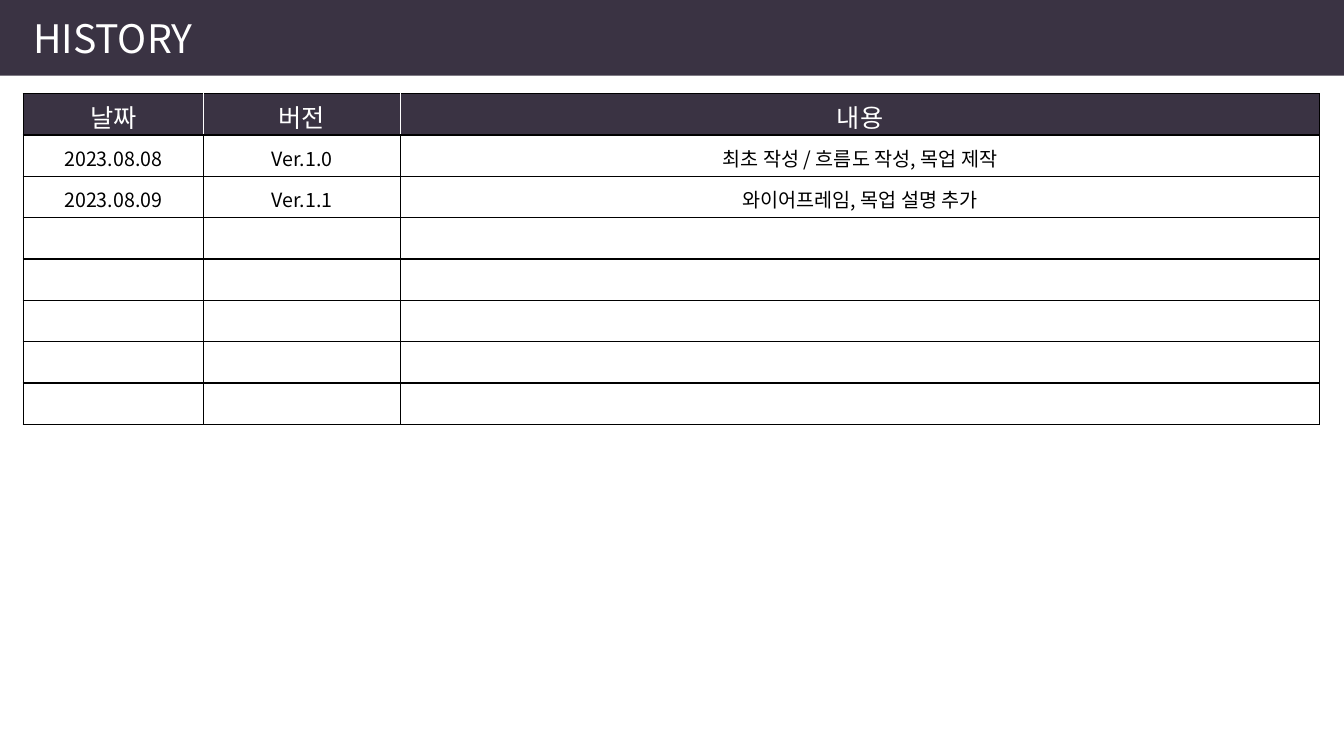
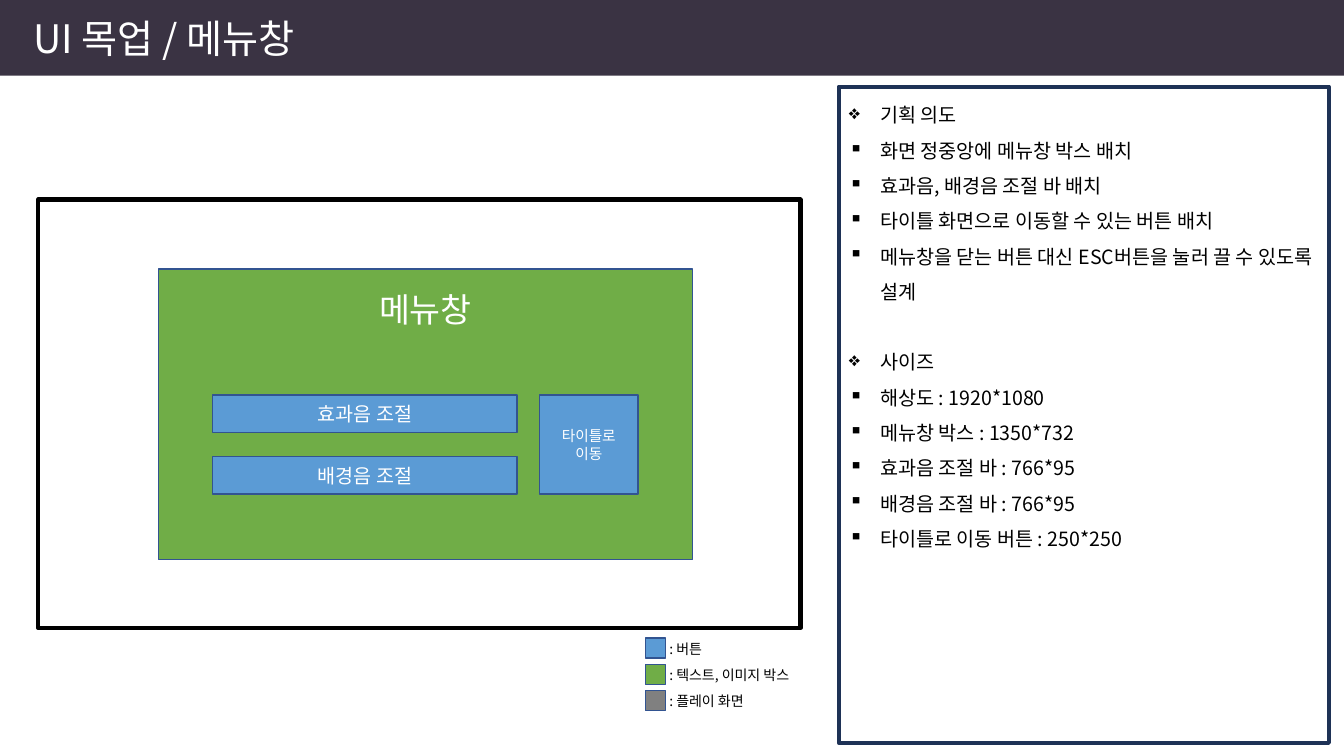
from dataclasses import dataclass
from typing import Optional

from pptx import Presentation
from pptx.dml.color import RGBColor
from pptx.enum.shapes import MSO_SHAPE
from pptx.enum.text import MSO_ANCHOR as Anchor, PP_ALIGN as Align
from pptx.oxml.ns import qn
from pptx.util import Inches, Pt
from lxml.etree import SubElement

FONT = "Noto Sans CJK KR"
BLACK = RGBColor(0x00, 0x00, 0x00)
WHITE = RGBColor(0xFF, 0xFF, 0xFF)
BAND = RGBColor(0x3A, 0x33, 0x43)
BLUE = RGBColor(0x5B, 0x9B, 0xD5)
GREEN = RGBColor(0x70, 0xAD, 0x47)
GRAY = RGBColor(0x80, 0x80, 0x80)
OUTLINE = RGBColor(0x32, 0x54, 0x91)
NAVY = RGBColor(0x1E, 0x32, 0x56)

SLIDE_WIDTH, SLIDE_HEIGHT = 13.33, 7.5
ROW_HEIGHT = 0.41
COLUMN_WIDTHS = (1.79, 1.95, 9.12)
HISTORY_ROWS = 8
HISTORY = (
    ("날짜", "버전", "내용"),
    ("2023.08.08", "Ver.1.0", "최초 작성 / 흐름도 작성, 목업 제작"),
    ("2023.08.09", "Ver.1.1", "와이어프레임, 목업 설명 추가"),
)

NOTE_LINE = 25.2
NOTE_INDENT = 0.31


@dataclass(frozen=True)
class Area:
    left: float
    top: float
    width: float
    height: float

    def lengths(self) -> tuple:
        return tuple(Inches(side) for side in (self.left, self.top, self.width, self.height))


@dataclass(frozen=True)
class Block:
    area: Area
    fill: Optional[RGBColor] = None
    line: Optional[RGBColor] = OUTLINE
    weight: float = 1
    text: str = ""
    size: float = 14


@dataclass(frozen=True)
class LegendEntry:
    color: RGBColor
    label: str


@dataclass(frozen=True)
class NoteSection:
    heading: str
    items: tuple


MENU = Block(Area(1.57, 2.67, 5.3, 2.88), GREEN, text="메뉴창", size=24)
MOCKUP = (
    Block(Area(0.38, 1.98, 7.56, 4.25), line=BLACK, weight=3),
    MENU,
    Block(Area(2.11, 3.92, 3.02, 0.37), BLUE, text="효과음 조절"),
    Block(Area(2.11, 4.53, 3.02, 0.37), BLUE, text="배경음 조절"),
    Block(Area(5.35, 3.92, 0.98, 0.98), BLUE, text="타이틀로 이동", size=10.5),
)
LEGEND = (
    LegendEntry(BLUE, ": 버튼"),
    LegendEntry(GREEN, ": 텍스트, 이미지 박스"),
    LegendEntry(GRAY, ": 플레이 화면"),
)
NOTES = (
    NoteSection("기획 의도", (
        "화면 정중앙에 메뉴창 박스 배치",
        "효과음, 배경음 조절 바 배치",
        "타이틀 화면으로 이동할 수 있는 버튼 배치",
        "메뉴창을 닫는 버튼 대신 ESC버튼을 눌러 끌 수 있도록 설계",
    )),
    NoteSection("사이즈", (
        "해상도 : 1920*1080",
        "메뉴창 박스 : 1350*732",
        "효과음 조절 바 : 766*95",
        "배경음 조절 바 : 766*95",
        "타이틀로 이동 버튼 : 250*250",
    )),
)


def add_span(para, text: str, size: float, color: RGBColor) -> None:
    span = para.add_run()
    span.text = text
    span.font.size = Pt(size)
    span.font.name = FONT
    span.font.color.rgb = color
    SubElement(span.font._element, qn("a:ea"), typeface=FONT)


def add_block(page, block: Block):
    box = page.shapes.add_shape(MSO_SHAPE.RECTANGLE, *block.area.lengths())
    box.shadow.inherit = False
    if block.fill is None:
        box.fill.background()
    else:
        box.fill.solid()
        box.fill.fore_color.rgb = block.fill
    if block.line is None:
        box.line.fill.background()
    else:
        box.line.color.rgb = block.line
        box.line.width = Pt(block.weight)
    if block.text:
        box.text_frame.word_wrap = True
        box.text_frame.vertical_anchor = Anchor.MIDDLE
        para = box.text_frame.paragraphs[0]
        para.alignment = Align.CENTER
        add_span(para, block.text, block.size, WHITE)
    return box


def add_label(page, area: Area, text: str, size: float, color: RGBColor) -> None:
    box = page.shapes.add_textbox(*area.lengths())
    frame = box.text_frame
    frame.word_wrap = True
    frame.vertical_anchor = Anchor.MIDDLE
    frame.margin_top = frame.margin_bottom = 0
    add_span(frame.paragraphs[0], text, size, color)


def add_page(deck, title: str):
    page = deck.slides.add_slide(deck.slide_layouts[6])
    add_block(page, Block(Area(0, 0, SLIDE_WIDTH, 0.75), BAND, line=None))
    add_label(page, Area(0.23, 0.09, 5.29, 0.57), title, 28, WHITE)
    return page


def set_border(cell, side: str, color: RGBColor) -> None:
    line = SubElement(cell._tc.get_or_add_tcPr(), qn(f"a:ln{side}"), w=str(Pt(1)))
    fill = SubElement(line, qn("a:solidFill"))
    SubElement(fill, qn("a:srgbClr"), val=str(color))


def style_cell(cell, is_header: bool, column: int) -> None:
    inner_left = is_header and column > 0
    inner_right = is_header and column < len(COLUMN_WIDTHS) - 1
    set_border(cell, "L", WHITE if inner_left else BLACK)
    set_border(cell, "R", WHITE if inner_right else BLACK)
    set_border(cell, "T", BLACK)
    set_border(cell, "B", BLACK)
    if is_header:
        cell.fill.solid()
        cell.fill.fore_color.rgb = BAND
    else:
        cell.fill.background()
    cell.vertical_anchor = Anchor.MIDDLE
    cell.margin_top = Inches(0.04)
    cell.margin_bottom = 0


def add_history_table(page) -> None:
    area = Area(0.23, 0.93, sum(COLUMN_WIDTHS), HISTORY_ROWS * ROW_HEIGHT)
    table = page.shapes.add_table(HISTORY_ROWS, len(COLUMN_WIDTHS), *area.lengths()).table
    table.first_row = table.horz_banding = False
    for column, width in zip(table.columns, COLUMN_WIDTHS):
        column.width = Inches(width)
    for row_index, row in enumerate(table.rows):
        row.height = Inches(ROW_HEIGHT)
        is_header = row_index == 0
        for column_index, cell in enumerate(row.cells):
            style_cell(cell, is_header, column_index)
            if row_index < len(HISTORY):
                para = cell.text_frame.paragraphs[0]
                para.alignment = Align.CENTER
                add_span(para, HISTORY[row_index][column_index],
                         18 if is_header else 14, WHITE if is_header else BLACK)


def add_legend(page) -> None:
    for index, entry in enumerate(LEGEND):
        top = 6.33 + index * 0.26
        add_block(page, Block(Area(6.4, top, 0.2, 0.2), entry.color))
        add_label(page, Area(6.54, top - 0.03, 1.54, 0.27), entry.label, 10, BLACK)


def set_bullet(para, symbol: str) -> None:
    properties = para._p.get_or_add_pPr()
    properties.set("marL", str(Inches(NOTE_INDENT)))
    properties.set("indent", str(-Inches(NOTE_INDENT)))
    color = SubElement(properties, qn("a:buClr"))
    SubElement(color, qn("a:srgbClr"), val=str(BLACK))
    SubElement(properties, qn("a:buChar"), char=symbol)


def add_note(para, text: str, symbol: str) -> None:
    para.alignment = Align.LEFT
    para.line_spacing = Pt(NOTE_LINE)
    set_bullet(para, symbol)
    add_span(para, text, 14, BLACK)


def add_notes_panel(page) -> None:
    panel = add_block(page, Block(Area(8.32, 0.86, 4.86, 6.51), WHITE, NAVY, 3))
    frame = panel.text_frame
    frame.word_wrap = True
    frame.vertical_anchor = Anchor.TOP
    for index, section in enumerate(NOTES):
        heading = frame.add_paragraph() if index else frame.paragraphs[0]
        if index:
            heading.space_before = Pt(NOTE_LINE)
        add_note(heading, section.heading, "❖")
        for item in section.items:
            add_note(frame.add_paragraph(), item, "▪")


def add_mockup(page) -> None:
    for block in MOCKUP:
        box = add_block(page, block)
        if block is MENU:
            box.text_frame.vertical_anchor = Anchor.TOP
            box.text_frame.margin_top = Inches(0.2)


def main() -> None:
    deck = Presentation()
    deck.slide_width = Inches(SLIDE_WIDTH)
    deck.slide_height = Inches(SLIDE_HEIGHT)

    add_history_table(add_page(deck, "HISTORY"))

    menu_page = add_page(deck, "UI 목업 / 메뉴창")
    add_legend(menu_page)
    add_mockup(menu_page)
    add_notes_panel(menu_page)

    deck.save("out.pptx")


if __name__ == "__main__":
    main()
